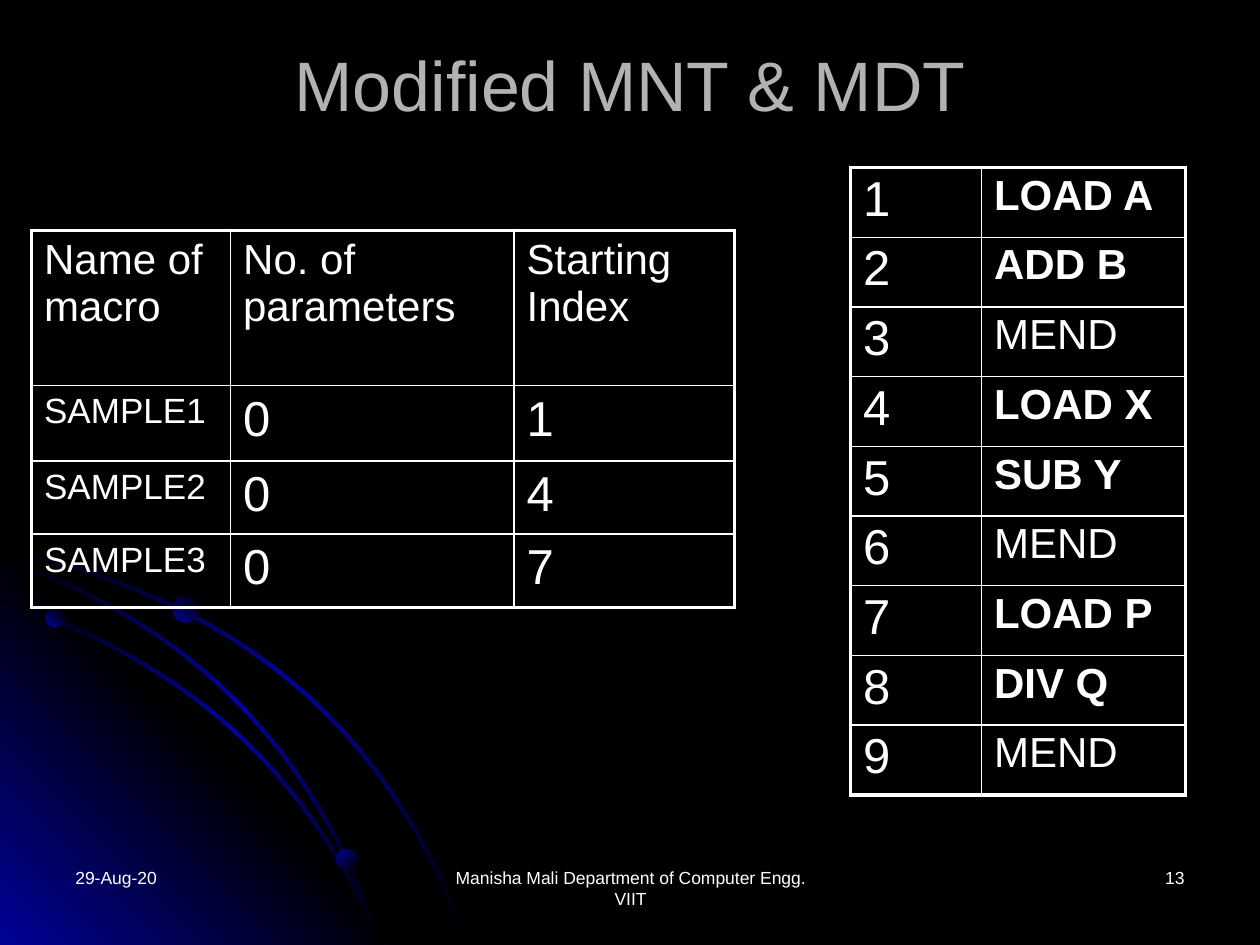
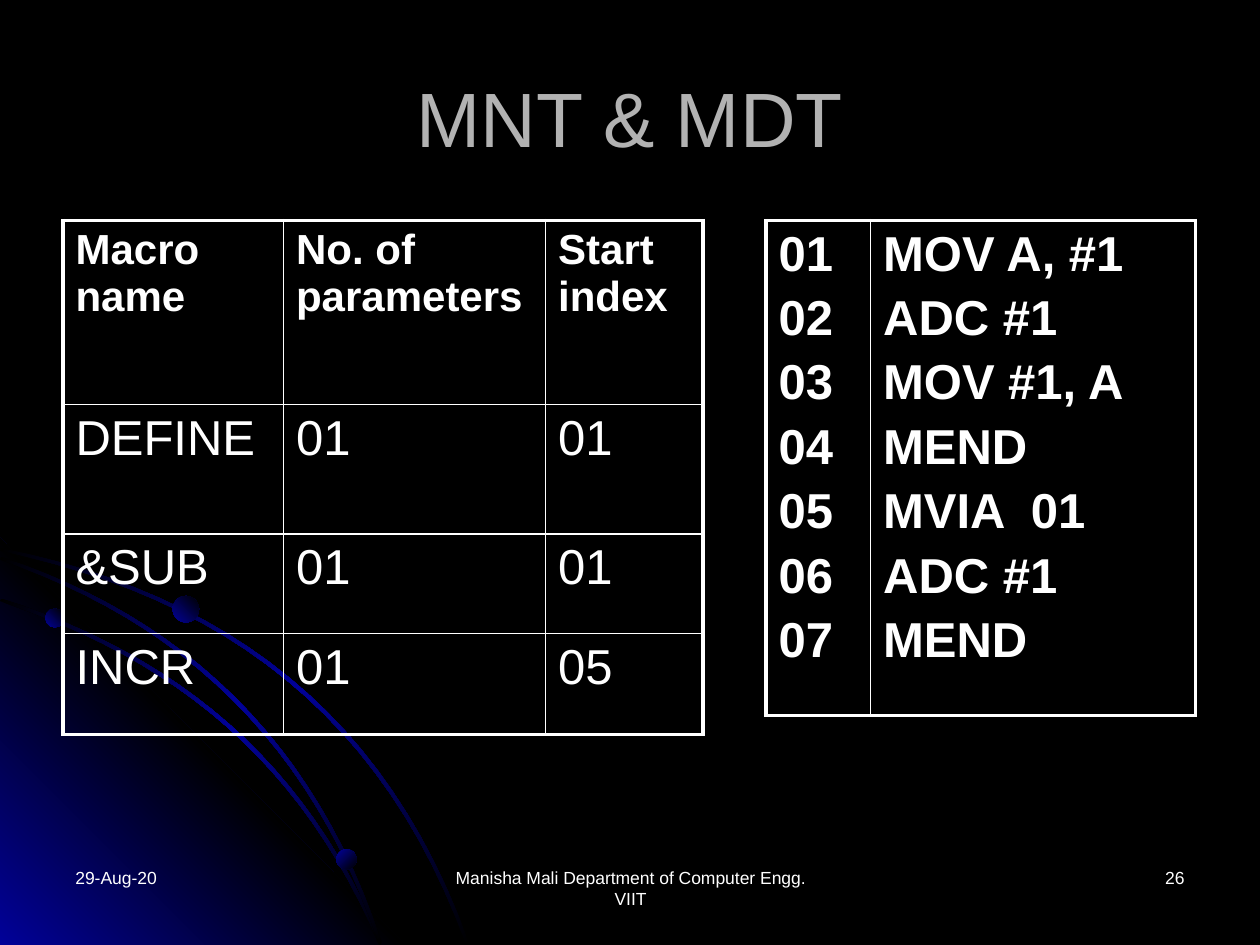
from pptx import Presentation
from pptx.dml.color import RGBColor as RGB
from pptx.enum.shapes import MSO_SHAPE as SHAPE
from pptx.enum.text import MSO_ANCHOR as ANCHOR, PP_ALIGN as ALIGN
from pptx.oxml import parse_xml
from pptx.oxml.ns import nsdecls
from pptx.util import Inches, Pt

# Shared look
HEX = {"back": "000000", "glow": "010199", "title": "B2B2B2", "text": "FFFFFF"}
FONT = "Arial"
WIDE, HIGH = 10, 7.5
THIN, THICK = 1, 2.25
SMALL, MID, LARGE = 20, 24, 28
FOOT = {"top": 6.83, "high": 0.5, "size": 10}

# Corner art: each trail is a Bezier curve given by start, two handles, end
TRAILS = [
    [(0, 4.36), (1.8, 4.73), (3.06, 5.69), (3.71, 7.49)],
    [(0, 4.76), (1.4, 5.22), (2.41, 6.04), (3.02, 7.49)],
    [(0, 4.43), (1.45, 4.92), (2.49, 5.89), (3.02, 7.49)],
]
STEPS = 24      # straight pieces in each trail
HALF = 0.01     # half of a trail's breadth
WEDGE = [(0, 4.27), (3.22, HIGH), (0, HIGH)]
BALLS = [(0.36, 4.83, 0.15, 315), (2.67, 6.74, 0.16, 45), (1.37, 4.73, 0.21, 315)]

# Table wording
HEADS = ["Name of macro", "No. of parameters", "Starting Index"]
STARTS = {"SAMPLE1": "1", "SAMPLE2": "4", "SAMPLE3": "7"}
CODE = ["LOAD A", "ADD B", "MEND", "LOAD X", "SUB Y", "MEND", "LOAD P", "DIV Q", "MEND"]
TITLES = ["Macro name", "No. of parameters", "Start index"]
INDEX = {"DEFINE": "01", "&SUB": "01", "INCR": "05"}
MOVES = ["MOV A, #1", "ADC #1", "MOV #1, A", "MEND", "MVIA  01", "ADC #1", "MEND"]

# Rows of cells; a cell is a list of lines, a line is (text, size, bold)
samples = [[[(head, MID, False)] for head in HEADS]]
for name, start in STARTS.items():
    samples.append([[(name, SMALL, False)], [("0", LARGE, False)], [(start, LARGE, False)]])

code = []
for num, step in enumerate(CODE, 1):
    code.append([[(str(num), LARGE, False)], [(step, MID, step != "MEND")]])

macros = [[[(head, MID, True)] for head in TITLES]]
for name, start in INDEX.items():
    macros.append([[(text, LARGE, False)] for text in (name, "01", start)])

moves = [[[(f"{num:02}", LARGE, True) for num in range(1, len(MOVES) + 1)],
          [(step, LARGE, True) for step in MOVES]]]

SLIDES = [
    {"title": "Modified MNT & MDT", "size": 40, "high": 0.73, "page": "13", "tables": [
        {"at": (0.25, 1.83), "cols": [1.58, 2.25, 1.75],
         "rows": [1.23, 0.6, 0.58, 0.58], "cells": samples, "lead": 1.0},
        {"at": (6.75, 1.33), "cols": [1.04, 1.62],
         "rows": [4.8 / len(CODE)] * len(CODE), "cells": code, "lead": 0.97},
    ]},
    {"title": "MNT & MDT", "size": 44, "high": 1.25, "page": "26", "tables": [
        {"at": (0.5, 1.75), "cols": [1.75, 2.08, 1.25],
         "rows": [1.46, 1.03, 0.79, 0.8], "cells": macros, "lead": 1.0},
        {"at": (6.08, 1.75), "cols": [0.83, 2.58],
         "rows": [3.93], "cells": moves, "lead": 1.0},
    ]},
]


def write(frame, lines, color="text", align=ALIGN.LEFT, lead=1.0):
    """Fill a text frame with one paragraph for each line."""
    frame.word_wrap = True
    for i, (text, size, bold) in enumerate(lines):
        par = frame.add_paragraph() if i else frame.paragraphs[0]
        par.alignment = align
        par.line_spacing = lead
        if i:
            par.space_before = Pt(0.2 * size)
        run = par.add_run()
        run.text = text
        for key, val in {"name": FONT, "size": Pt(size), "bold": bold}.items():
            setattr(run.font, key, val)
        run.font.color.rgb = RGB.from_string(HEX[color])


def shade(shape, stops, angle):
    """Give a shape an even gradient, no line and no shadow."""
    gap = 100000 // (len(stops) - 1)
    marks = "".join(f'<a:gs pos="{i * gap}"><a:srgbClr val="{HEX[stop]}"/></a:gs>'
                    for i, stop in enumerate(stops))
    shape.line.fill.background()
    shape.shadow.inherit = False
    shape.line._get_or_add_ln().addprevious(parse_xml(
        f'<a:gradFill {nsdecls("a")}><a:gsLst>{marks}</a:gsLst>'
        f'<a:lin ang="{angle * 60000}" scaled="0"/></a:gradFill>'))


# Outlines: the wedge, then each trail there on one side and back on the other
outlines = [(WEDGE, ["glow", "back", "glow"], 315)]
for trail in TRAILS:
    upper, lower = [], []
    for i in range(STEPS + 1):
        t = i / STEPS
        blend = [(1 - t) ** 3, 3 * t * (1 - t) ** 2, 3 * t ** 2 * (1 - t), t ** 3]
        x, y = (sum(b * p[axis] for b, p in zip(blend, trail)) for axis in (0, 1))
        upper.append((x + HALF, y - HALF))
        lower.append((max(x - HALF, 0), min(y + HALF, HIGH)))
    outlines.append((upper + lower[::-1], ["back", "glow", "back"], 45))

prs = Presentation()
prs.slide_width, prs.slide_height = Inches(WIDE), Inches(HIGH)

for page in SLIDES:
    slide = prs.slides.add_slide(prs.slide_layouts[6])
    shapes = slide.shapes
    slide.background.fill.solid()
    slide.background.fill.fore_color.rgb = RGB.from_string(HEX["back"])

    # Corner art
    for points, stops, angle in outlines:
        spots = [(Inches(x), Inches(y)) for x, y in points]
        pen = shapes.build_freeform(*spots[0])
        pen.add_line_segments(spots[1:], close=True)
        shade(pen.convert_to_shape(), stops, angle)
    for x, y, size, angle in BALLS:
        ball = shapes.add_shape(SHAPE.OVAL, Inches(x), Inches(y), Inches(size), Inches(size))
        shade(ball, ["glow", "back"], angle)

    # Title
    box = shapes.add_textbox(Inches(0.5), Inches(0.3), Inches(9), Inches(page["high"]))
    box.text_frame.vertical_anchor = ANCHOR.MIDDLE
    write(box.text_frame, [(page["title"], page["size"], False)], "title", ALIGN.CENTER)

    # Footers: date, author, page number
    for text, left, wide, align in [
        ("29-Aug-20", 0.5, 2.33, ALIGN.LEFT),
        ("Manisha Mali Department of Computer Engg. VIIT", 3.42, 3.17, ALIGN.CENTER),
        (page["page"], 7.17, 2.33, ALIGN.RIGHT),
    ]:
        box = shapes.add_textbox(Inches(left), Inches(FOOT["top"]),
                                 Inches(wide), Inches(FOOT["high"]))
        write(box.text_frame, [(text, FOOT["size"], False)], align=align)

    # Tables with a thick frame and thin inner lines
    for data in page["tables"]:
        cols, rows = data["cols"], data["rows"]
        table = shapes.add_table(len(rows), len(cols), *map(Inches, data["at"]),
                                 Inches(sum(cols)), Inches(sum(rows))).table
        table.first_row = table.horz_banding = False
        for c, wide in enumerate(cols):
            table.columns[c].width = Inches(wide)
        for r, high in enumerate(rows):
            table.rows[r].height = Inches(high)
            for c, lines in enumerate(data["cells"][r]):
                cell = table.cell(r, c)
                write(cell.text_frame, lines, lead=data["lead"])
                edges = {"L": c == 0, "R": c == len(cols) - 1,
                         "T": r == 0, "B": r == len(rows) - 1}
                for side, outer in edges.items():
                    width = Pt(THICK if outer else THIN)
                    cell._tc.get_or_add_tcPr().append(parse_xml(
                        f'<a:ln{side} {nsdecls("a")} w="{width}"><a:solidFill>'
                        f'<a:srgbClr val="{HEX["text"]}"/></a:solidFill></a:ln{side}>'))
                cell.fill.background()

prs.save("out.pptx")
